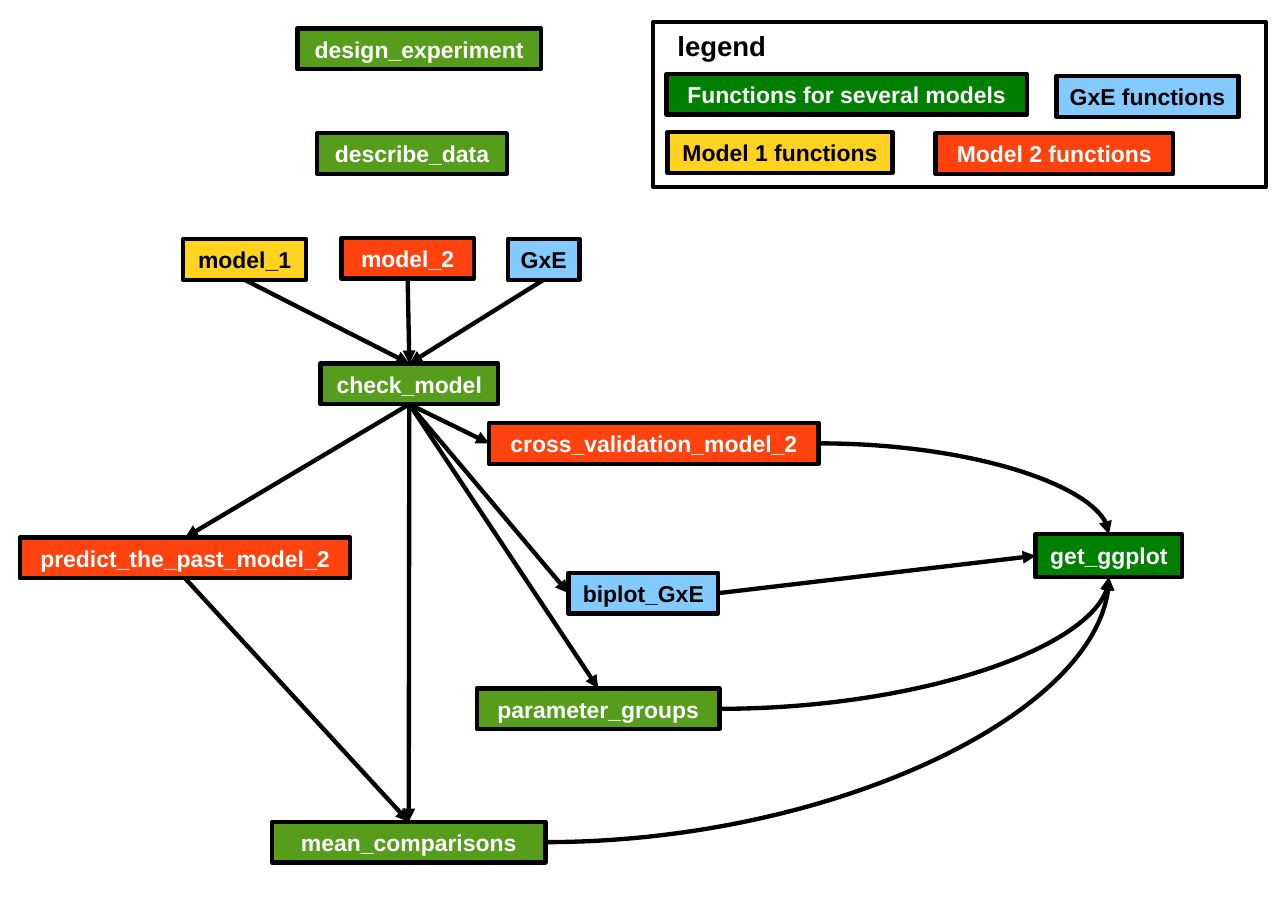
from dataclasses import dataclass

from lxml import etree
from pptx import Presentation
from pptx.dml.color import RGBColor
from pptx.enum import shapes, text
from pptx.oxml import ns
from pptx.util import Inches, Pt

TOP, LEFT, BOTTOM, RIGHT = range(4)  # connection sites of a rectangle
BOX_HEIGHT = 0.37


@dataclass(frozen=True)
class Theme:
    font: str = "Arial"
    label_size: float = 15
    legend_size: float = 18
    line_width: float = 2.83
    black: str = "000000"
    white: str = "FFFFFF"
    general: str = "579D1C"
    several: str = "008000"
    model_1: str = "FFD320"
    model_2: str = "FF420E"
    gxe: str = "83CAFF"

    def text_on(self, fill):
        return self.black if fill in (self.model_1, self.gxe) else self.white


def write(frame, words, *, font, size, color, align, insets, anchor):
    frame.word_wrap = False
    frame.vertical_anchor = anchor
    frame.margin_left = frame.margin_right = Inches(insets[0])
    frame.margin_top = frame.margin_bottom = Inches(insets[1])
    para = frame.paragraphs[0]
    para.alignment = align
    span = para.add_run()
    span.text = words
    span.font.name = font
    span.font.size = Pt(size)
    span.font.bold = True
    span.font.color.rgb = RGBColor.from_string(color)


class Diagram:
    def __init__(self, page, theme):
        self.page = page
        self.theme = theme

    def outline(self, line):
        line.color.rgb = RGBColor.from_string(self.theme.black)
        line.width = Pt(self.theme.line_width)

    def frame(self, left, top, width, height):
        """Add an unfilled rectangle."""
        box = self.page.shapes.add_shape(
            shapes.MSO_SHAPE.RECTANGLE,
            Inches(left), Inches(top), Inches(width), Inches(height))
        box.shadow.inherit = False
        box.fill.background()
        self.outline(box.line)
        return box

    def label(self, words, fill, left, top, width, height=BOX_HEIGHT):
        """Add a filled rectangle with centred bold text."""
        box = self.frame(left, top, width, height)
        box.fill.solid()
        box.fill.fore_color.rgb = RGBColor.from_string(fill)
        write(box.text_frame, words, font=self.theme.font,
              size=self.theme.label_size, color=self.theme.text_on(fill),
              align=text.PP_ALIGN.CENTER, insets=(0.12, 0.07),
              anchor=text.MSO_ANCHOR.MIDDLE)
        return box

    def heading(self, words, left, top, width, height):
        box = self.page.shapes.add_textbox(
            Inches(left), Inches(top), Inches(width), Inches(height))
        write(box.text_frame, words, font=self.theme.font,
              size=self.theme.legend_size, color=self.theme.black,
              align=text.PP_ALIGN.LEFT, insets=(0.1, 0.05),
              anchor=text.MSO_ANCHOR.TOP)

    def arrow(self, start, start_site, end, end_site, curved=False):
        kind = shapes.MSO_CONNECTOR.CURVE if curved else shapes.MSO_CONNECTOR.STRAIGHT
        arrow = self.page.shapes.add_connector(kind, 0, 0, 0, 0)
        arrow.begin_connect(start, start_site)
        arrow.end_connect(end, end_site)
        self.outline(arrow.line)
        properties = arrow._element.spPr
        if curved:
            properties.find(ns.qn("a:prstGeom")).set("prst", "curvedConnector2")
        etree.SubElement(arrow.line._get_or_add_ln(), ns.qn("a:tailEnd"), type="triangle")
        etree.SubElement(properties, ns.qn("a:effectLst"))


def draw_legend(diagram, theme):
    diagram.frame(5.93, 0.2, 5.56, 1.5)
    diagram.heading("legend", 6.05, 0.21, 1.2, 0.38)
    for entry in (
        ("Functions for several models", theme.several, 6.05, 0.67, 3.27),
        ("GxE functions", theme.gxe, 9.59, 0.69, 1.65),
        ("Model 1 functions", theme.model_1, 6.06, 1.2, 2.04),
        ("Model 2 functions", theme.model_2, 8.49, 1.21, 2.16),
    ):
        diagram.label(*entry)


def draw_workflow(diagram, theme):
    functions = (
        ("design_experiment", theme.general, 2.7, 0.26, 2.21),
        ("describe_data", theme.general, 2.88, 1.21, 1.72),
        ("model_1", theme.model_1, 1.66, 2.17, 1.12),
        ("model_2", theme.model_2, 3.1, 2.16, 1.2),
        ("GxE", theme.gxe, 4.61, 2.17, 0.65),
        ("check_model", theme.general, 2.91, 3.3, 1.61),
        ("cross_validation_model_2", theme.model_2, 4.44, 3.84, 2.99),
        ("predict_the_past_model_2", theme.model_2, 0.18, 4.88, 3),
        ("biplot_GxE", theme.gxe, 5.16, 5.2, 1.36),
        ("parameter_groups", theme.general, 4.33, 6.25, 2.2),
        ("mean_comparisons", theme.general, 2.47, 7.46, 2.48),
        ("get_ggplot", theme.several, 9.4, 4.85, 1.33, 0.39),
    )
    boxes = {function[0]: diagram.label(*function) for function in functions}

    check = boxes["check_model"]
    for name in ("model_1", "model_2", "GxE"):
        diagram.arrow(boxes[name], BOTTOM, check, TOP)
    for name, site in (
        ("cross_validation_model_2", LEFT),
        ("biplot_GxE", LEFT),
        ("parameter_groups", TOP),
        ("predict_the_past_model_2", TOP),
        ("mean_comparisons", TOP),
    ):
        diagram.arrow(check, BOTTOM, boxes[name], site)
    diagram.arrow(boxes["predict_the_past_model_2"], BOTTOM,
                  boxes["mean_comparisons"], TOP)

    plot = boxes["get_ggplot"]
    diagram.arrow(boxes["biplot_GxE"], RIGHT, plot, LEFT)
    for name, site in (
        ("cross_validation_model_2", TOP),
        ("parameter_groups", BOTTOM),
        ("mean_comparisons", BOTTOM),
    ):
        diagram.arrow(boxes[name], RIGHT, plot, site, curved=True)


def main():
    deck = Presentation()
    deck.slide_width, deck.slide_height = Inches(11.69), Inches(8.27)
    page = deck.slides.add_slide(deck.slide_layouts[6])
    theme = Theme()
    diagram = Diagram(page, theme)
    draw_legend(diagram, theme)
    draw_workflow(diagram, theme)
    deck.save("out.pptx")


if __name__ == "__main__":
    main()
